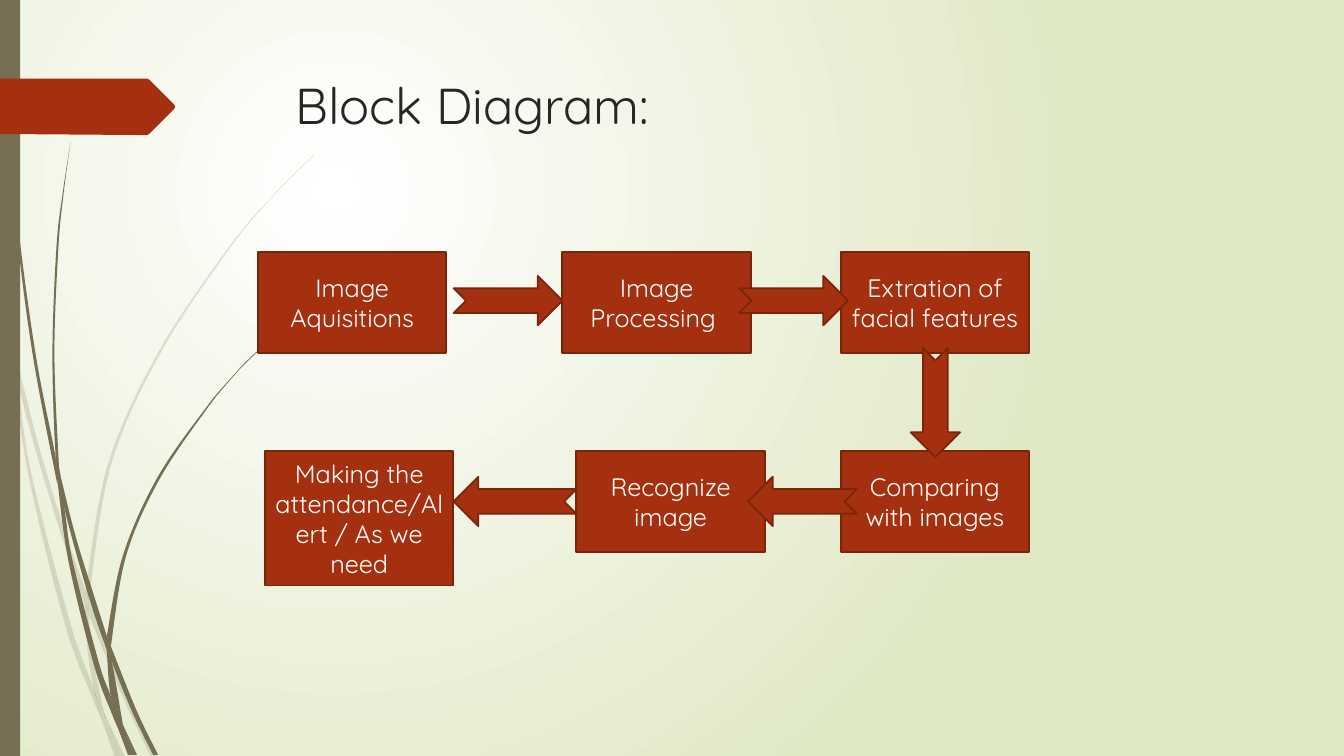
from lxml import etree
from pptx import Presentation
from pptx import util as u
from pptx.dml.color import RGBColor
from pptx.enum import shapes, text
from pptx.oxml import parse_xml
from pptx.oxml.ns import qn

Pt = u.Pt
FONT = "Quicksand"
RED, DARK_RED, OLIVE, WHITE, INK = "A53010", "7A240C", "766F54", "FFFFFF", "262626"
WIDTH, HEIGHT = 960, 540
GRID = 0.72

PALE_BLADES = [
    ([(0, 299), (11, 350)], [(0, 282), (9, 322), (11, 350)]),
    ([(14, 345), (17, 376), (36, 449), (58, 522), (84, 599)],
     [(14, 345), (36, 433), (62, 520), (85, 586)]),
    ([(88, 610), (123, 694), (150, 751)], [(88, 596), (127, 692), (155, 751)]),
    ([(105, 711), (119, 751)], [(105, 711), (124, 751)]),
    ([(11, 350), (28, 470), (65, 621), (92, 693), (101, 714)],
     [(11, 350), (17, 376), (31, 469), (70, 619), (93, 683), (99, 707), (101, 714)]),
    ([(84, 599), (87, 646), (93, 683), (96, 692), (105, 711)],
     [(84, 599), (88, 610), (91, 646), (103, 706), (105, 711)]),
    ([(312, 153), (289, 175), (268, 197), (228, 244), (158, 348), (107, 461), (85, 586)],
     [(312, 154), (290, 175), (268, 198), (229, 245), (160, 349), (110, 462), (88, 596)]),
    ([(101, 714), (114, 751)], [(101, 714), (119, 751)]),
    ([(85, 586), (84, 599), (88, 608)], [(85, 586), (88, 596), (88, 610)]),
    ([(93, 683), (99, 707), (101, 714), (119, 751)],
     [(93, 683), (96, 692), (105, 711), (119, 751)]),
]
DARK_BLADES = [
    ([(3, 0), (7, 110), (17, 233), (33, 355), (57, 481)],
     [(4, 0), (8, 109), (19, 232), (36, 355), (55, 453), (57, 481)]),
    ([(60, 472), (64, 505), (88, 592), (106, 645)],
     [(60, 472), (75, 532), (93, 590), (106, 631)]),
    ([(110, 641), (111, 656), (132, 708), (152, 749)],
     [(110, 641), (136, 706), (157, 749)]),
    ([(57, 477), (68, 557), (93, 659), (111, 708), (117, 722)],
     [(57, 477), (64, 505), (72, 556), (98, 657), (110, 691), (116, 717), (117, 722)]),
    ([(70, 141), (62, 193), (56, 245), (52, 349), (55, 449), (60, 472)],
     [(70, 141), (63, 193), (58, 245), (54, 349), (58, 453), (60, 472)]),
    ([(122, 719), (133, 749)], [(122, 719), (136, 749)]),
    ([(55, 449), (57, 477), (64, 505)], [(55, 449), (60, 472), (64, 505)]),
    ([(260, 344), (245, 358), (231, 373), (204, 405), (156, 474), (122, 551), (106, 631)],
     [(261, 344), (245, 359), (231, 374), (205, 406), (158, 476), (125, 552), (110, 641)]),
    ([(117, 722), (127, 749)], [(117, 722), (131, 749)]),
    ([(106, 645), (110, 691), (122, 719)], [(106, 645), (111, 656), (122, 719)]),
    ([(106, 631), (106, 645), (111, 656)], [(106, 631), (110, 641), (111, 656)]),
    ([(110, 691), (117, 722), (130, 749)], [(110, 691), (122, 719), (133, 749)]),
]
TAG = [(0, 78), (146, 78), (148, 79), (173, 104), (174, 106), (173, 108),
       (148, 133), (146, 134), (136, 134), (0, 133)]
BLOCKS = [
    ("Image Aquisitions", 0, 0, 72),
    ("Image Processing ", 217.4, 0, 72),
    ("Extration of facial features", 416.2, 0, 72),
    ("Comparing with images", 416.2, 142.4, 72),
    ("Recognize image", 227.4, 142.4, 72),
    ("Making the attendance/Alert / As we need", 5, 142.4, 95.8),
]
ARROWS = [
    (139.7, 17.1, 77.8, 0),
    (343.6, 17.1, 77.8, 0),
    (444.9, 89.9, 77.8, 90),
    (350, 160.5, 77.8, 180),
    (139.7, 160.5, 87.8, 180),
]


def rgb(color):
    return RGBColor.from_string(color)


def paint(sp, fill, line=None, opacity=None):
    sp.shadow.inherit = False
    sp.fill.solid()
    sp.fill.fore_color.rgb = rgb(fill)
    if opacity:
        clr = sp.fill._xPr.find(qn("a:solidFill"))[0]
        etree.SubElement(clr, qn("a:alpha")).set("val", str(opacity * 1000))
    if line:
        sp.line.color.rgb = rgb(line)
        sp.line.width = Pt(1.25)
    else:
        sp.line.fill.background()


def add_preset(s, kind, left, top, width, height, fill, line=None):
    sp = s.shapes.add_shape(kind, Pt(left), Pt(top), Pt(width), Pt(height))
    paint(sp, fill, line)
    return sp


def add_outline(s, left, top, points):
    start, *rest = [(Pt(x * GRID), Pt(y * GRID)) for x, y in points]
    builder = s.shapes.build_freeform(*start)
    builder.add_line_segments(rest, close=True)
    return builder.convert_to_shape(Pt(left), Pt(top))


def add_text(p, words, size, color):
    r = p.add_run()
    r.text = words
    r.font.name = FONT
    r.font.size = Pt(size)
    r.font.color.rgb = rgb(color)


def curve(knots):
    padded = [knots[0], *knots, knots[-1]]
    points = []
    for a, b, c, d in zip(padded, padded[1:], padded[2:], padded[3:]):
        points += [tuple(q + (w - o) / 6 for o, q, w in zip(a, b, c)),
                   tuple(w - (z - q) / 6 for q, w, z in zip(b, c, d)), c]
    return points


def bend(sp):
    lines = list(sp.element.iter(qn("a:lnTo")))
    for first, second, third in zip(lines[::3], lines[1::3], lines[2::3]):
        bezier = etree.Element(qn("a:cubicBezTo"))
        first.addprevious(bezier)
        for line in (first, second, third):
            bezier.append(line[0])
            line.getparent().remove(line)


def set_background(s):
    bg = parse_xml(
        '<p:bg xmlns:p="http://schemas.openxmlformats.org/presentationml/2006/main" '
        'xmlns:a="http://schemas.openxmlformats.org/drawingml/2006/main"><p:bgPr>'
        '<a:gradFill rotWithShape="1"><a:gsLst>'
        '<a:gs pos="0"><a:srgbClr val="FFFFFF"/></a:gs>'
        '<a:gs pos="100000"><a:srgbClr val="DFE8C4"/></a:gs></a:gsLst>'
        '<a:path path="circle"><a:fillToRect l="50000" t="50000" r="100000" b="100000"/>'
        '</a:path></a:gradFill><a:effectLst/></p:bgPr></p:bg>')
    s.element.cSld.insert(0, bg)


def add_blades(s, left, top, blades, opacity=None):
    for near, far in blades:
        points = [near[0]] + curve(near)
        if near[-1] != far[-1]:
            points += curve([near[-1], far[-1]])
        sp = add_outline(s, left, top, points + curve(far[::-1]))
        bend(sp)
        paint(sp, OLIVE, opacity=opacity)


def add_decoration(s, left, top, height):
    add_blades(s, left, top, PALE_BLADES, 20)
    add_blades(s, left, top, DARK_BLADES)
    add_preset(s, shapes.MSO_SHAPE.RECTANGLE, left, top, 14.4, height, OLIVE)
    paint(add_outline(s, left, top, TAG), RED)


def add_title(s, left, top, width, height):
    title = s.shapes.title
    title.left, title.top, title.width, title.height = map(Pt, (left, top, width, height))
    tf = title.text_frame
    tf.auto_size = text.MSO_AUTO_SIZE.NONE
    tf.vertical_anchor = text.MSO_ANCHOR.TOP
    p = tf.paragraphs[0]
    p.alignment = text.PP_ALIGN.LEFT
    add_text(p, "Block Diagram:", 36, INK)


def add_diagram(s, left, top):
    for words, x, y, height in BLOCKS:
        sp = add_preset(s, shapes.MSO_SHAPE.RECTANGLE, left + x, top + y,
                        134.6, height, RED, DARK_RED)
        tf = sp.text_frame
        tf.word_wrap = True
        tf.vertical_anchor = text.MSO_ANCHOR.MIDDLE
        p = tf.paragraphs[0]
        p.alignment = text.PP_ALIGN.CENTER
        add_text(p, words, 18, WHITE)
    for x, y, width, angle in ARROWS:
        sp = add_preset(s, shapes.MSO_SHAPE.NOTCHED_RIGHT_ARROW, left + x, top + y,
                        width, 35.3, RED, DARK_RED)
        sp.rotation = angle


def main():
    prs = Presentation()
    prs.slide_width, prs.slide_height = Pt(WIDTH), Pt(HEIGHT)
    s = prs.slides.add_slide(prs.slide_layouts[5])
    set_background(s)
    add_decoration(s, 0, 0, HEIGHT)
    add_title(s, 204.2, 49, 702, 100.8)
    add_diagram(s, 184.3, 180)
    prs.save("out.pptx")


if __name__ == "__main__":
    main()
